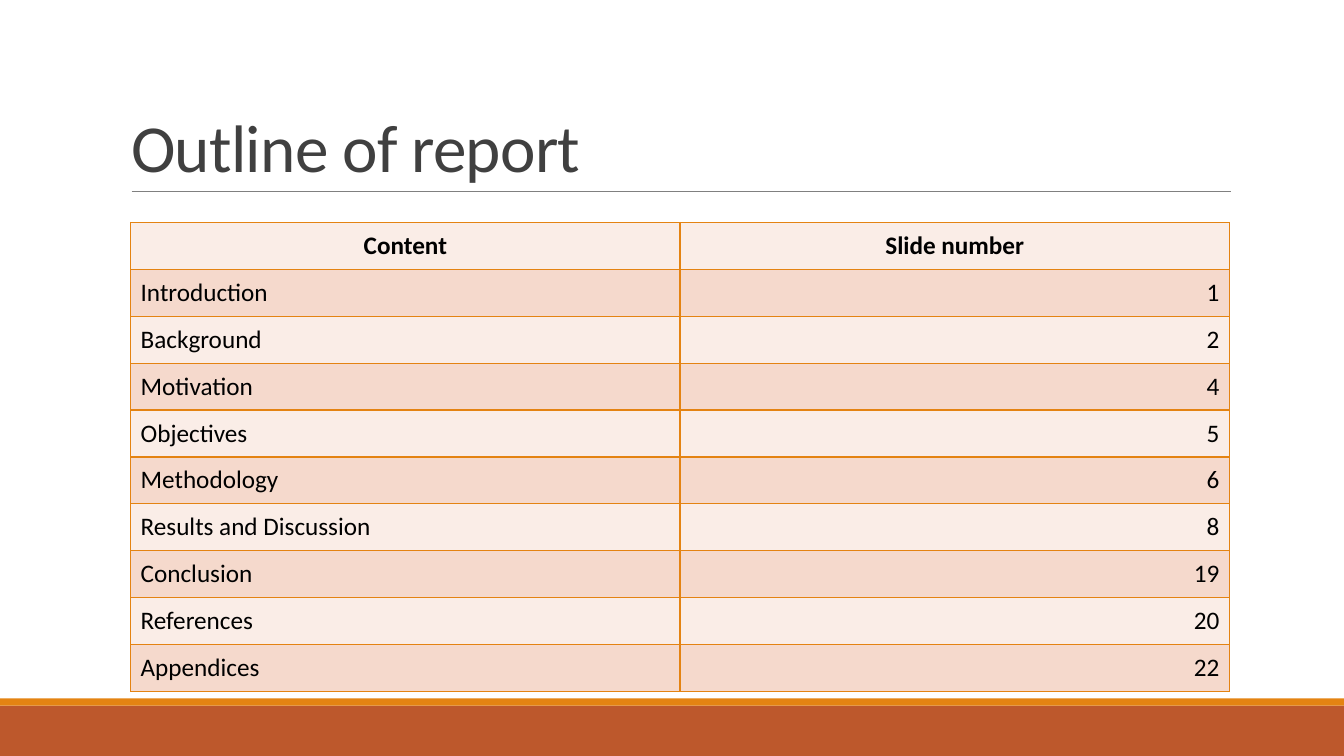
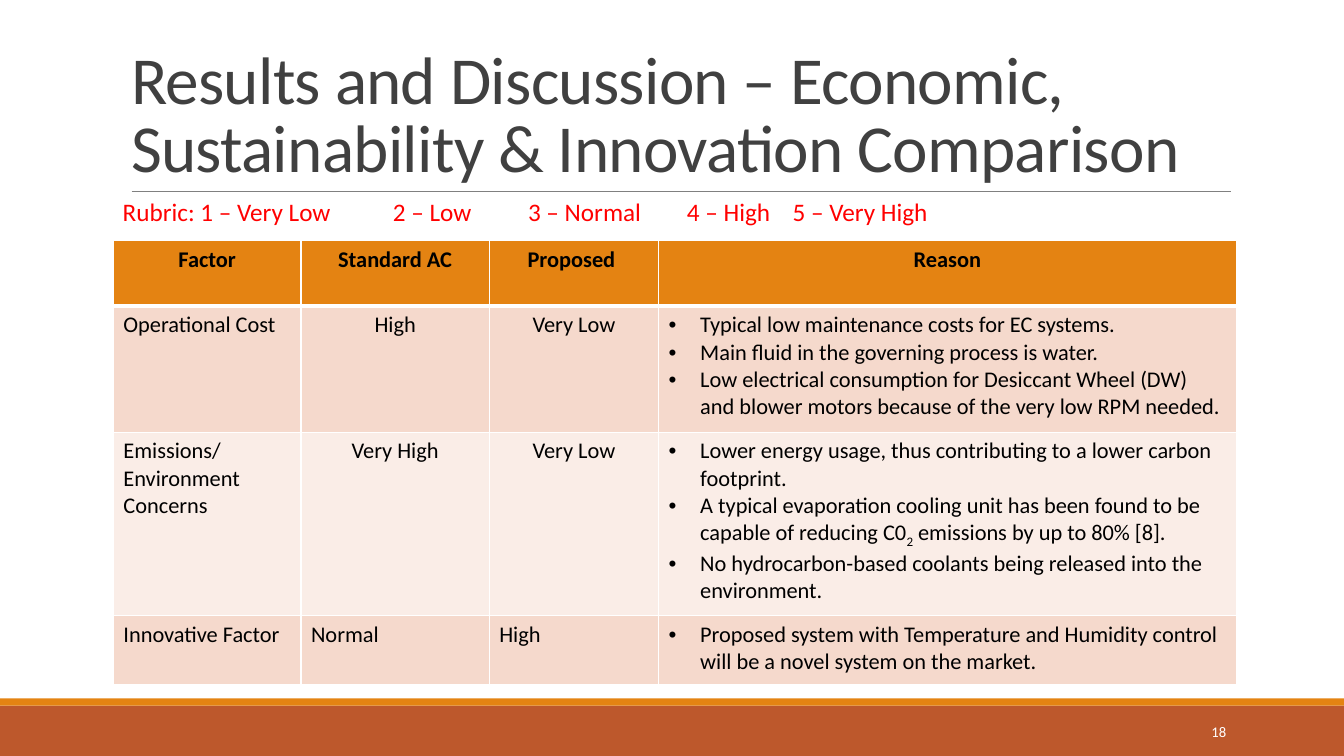
from lxml.etree import SubElement
from pptx import Presentation
from pptx.dml.color import RGBColor
from pptx.enum.shapes import MSO_CONNECTOR, MSO_SHAPE
from pptx.enum.text import MSO_ANCHOR, MSO_AUTO_SIZE, PP_ALIGN
from pptx.oxml.ns import qn
from pptx.util import Pt

FONT = "Calibri"
BAND, ACCENT, RULE = "BD582C", "E48312", "808080"
TITLE_COLOR, BLACK, WHITE, RED = "404040", "000000", "FFFFFF", "FF0000"
STRIPES = ["FAEDE7", "F5D9CC"]
LEFT, CENTER, RIGHT = PP_ALIGN.LEFT, PP_ALIGN.CENTER, PP_ALIGN.RIGHT
BULLET_INDENT = 22.5


def color(hex_string):
    return RGBColor.from_string(hex_string)


def write(paragraph, text, size, text_color, alignment=LEFT, bold=False):
    paragraph.alignment = alignment
    for index, part in enumerate(text.split("_")):
        run = paragraph.add_run()
        run.text = part
        run.font.name = FONT
        run.font.size = Pt(size)
        run.font.bold = bold
        run.font.color.rgb = color(text_color)
        if index % 2:
            run.font._element.set("baseline", "-25000")


presentation = Presentation()
presentation.slide_width = Pt(960)
presentation.slide_height = Pt(540)
layout = presentation.slide_layouts[5]

titles = [
    "Outline of report",
    "Results and Discussion – Economic, Sustainability & Innovation Comparison",
]
slides = []
for title_text in titles:
    slide = presentation.slides.add_slide(layout)
    slides.append(slide)
    title = slide.shapes.title
    title.left, title.top, title.width, title.height = Pt(86.4), Pt(22.6), Pt(792), Pt(114.2)
    frame = title.text_frame
    frame.word_wrap = True
    frame.auto_size = MSO_AUTO_SIZE.NONE
    frame.vertical_anchor = MSO_ANCHOR.BOTTOM
    paragraph = frame.paragraphs[0]
    paragraph.line_spacing = 0.85
    write(paragraph, title_text, 48, TITLE_COLOR)
    for run in paragraph.runs:
        run.font._element.set("spc", "-50")

outline_slide, comparison_slide = slides

for top, height, fill_color in [(504, 36, BAND), (498.8, 5.2, ACCENT)]:
    band = outline_slide.shapes.add_shape(MSO_SHAPE.RECTANGLE, 0, Pt(top), Pt(960), Pt(height))
    band.shadow.inherit = False
    band.fill.solid()
    band.fill.fore_color.rgb = color(fill_color)
    band.line.fill.background()
    layout.shapes.element.append(band.element)

rule = outline_slide.shapes.add_connector(MSO_CONNECTOR.STRAIGHT, Pt(94), Pt(136.8), Pt(879), Pt(136.8))
rule.line.color.rgb = color(RULE)
rule.line.width = Pt(0.5)
SubElement(rule.element.spPr, qn("a:effectLst"))
layout.shapes.element.append(rule.element)

outline_rows = [
    ["Content", "Slide number"],
    ["Introduction", "1"],
    ["Background", "2"],
    ["Motivation", "4"],
    ["Objectives", "5"],
    ["Methodology", "6"],
    ["Results and Discussion", "8"],
    ["Conclusion", "19"],
    ["References", "20"],
    ["Appendices", "22"],
]
comparison_rows = [
    ["Factor", "Standard AC", "Proposed ", "Reason"],
    ["Operational Cost", "High", "Very Low",
     ["Typical low maintenance costs for EC systems.",
      "Main fluid in the governing process is water.",
      "Low electrical consumption for Desiccant Wheel (DW) and blower motors "
      "because of the very low RPM needed."]],
    ["Emissions/ Environment Concerns", "Very High", "Very Low",
     ["Lower energy usage, thus contributing to a lower carbon footprint.",
      "A typical evaporation cooling unit has been found to be capable of reducing "
      "C0_2_ emissions by up to 80% [8].",
      "No hydrocarbon-based coolants being released into the environment."]],
    ["Innovative Factor", "Normal", "High",
     ["Proposed system with Temperature and Humidity control "
      "will be a novel system on the market."]],
]

table_plans = [
    (outline_slide, outline_rows, 93.3, 159, [392.5] * 2, [33.5] * 10,
     18, MSO_ANCHOR.MIDDLE, ACCENT, 1, STRIPES[0], [LEFT, RIGHT]),
    (comparison_slide, comparison_rows, 81, 172, [134, 134.5, 121, 412.5], [46.8, 90, 131, 49],
     16, MSO_ANCHOR.TOP, WHITE, 3, ACCENT, [LEFT, CENTER, CENTER, LEFT]),
]
tables = []
for (slide, rows, left, top, widths, heights, size, anchor,
     border_color, header_border, header_fill, alignments) in table_plans:
    table = slide.shapes.add_table(
        len(rows), len(widths), Pt(left), Pt(top), Pt(sum(widths)), Pt(sum(heights))).table
    tables.append(table)
    for column, width in zip(table.columns, widths):
        column.width = Pt(width)
    for row_index, row_values in enumerate(rows):
        is_header = row_index == 0
        table.rows[row_index].height = Pt(heights[row_index])
        for column_index, value in enumerate(row_values):
            cell = table.cell(row_index, column_index)
            properties = cell._tc.get_or_add_tcPr()
            for side in ["lnL", "lnR", "lnT", "lnB"]:
                heavy = (side == "lnB" and row_index == 0) or (side == "lnT" and row_index == 1)
                border_width = header_border if heavy else 1
                border = SubElement(properties, qn("a:" + side), w=str(Pt(border_width)))
                border_fill = SubElement(border, qn("a:solidFill"))
                SubElement(border_fill, qn("a:srgbClr"), val=border_color)
            cell.fill.solid()
            cell.fill.fore_color.rgb = color(header_fill if is_header else STRIPES[row_index % 2])
            cell.vertical_anchor = anchor
            bulleted = isinstance(value, list)
            for index, text in enumerate(value if bulleted else [value]):
                frame = cell.text_frame
                paragraph = frame.add_paragraph() if index else frame.paragraphs[0]
                if bulleted:
                    paragraph_properties = paragraph._p.get_or_add_pPr()
                    paragraph_properties.set("marL", str(Pt(BULLET_INDENT)))
                    paragraph_properties.set("indent", str(-Pt(BULLET_INDENT)))
                    SubElement(paragraph_properties, qn("a:buFont"), typeface="Arial")
                    SubElement(paragraph_properties, qn("a:buChar"), char="•")
                alignment = CENTER if is_header else alignments[column_index]
                write(paragraph, text, size, BLACK, alignment, is_header)

for cell in tables[1].rows[len(comparison_rows) - 1].cells:
    cell.text_frame.paragraphs[0].alignment = LEFT

rubric = comparison_slide.shapes.add_textbox(Pt(80.6), Pt(136.8), Pt(871), Pt(29))
rubric.text_frame.word_wrap = True
paragraph = rubric.text_frame.paragraphs[0]
tab_list = SubElement(paragraph._p.get_or_add_pPr(), qn("a:tabLst"))
for position in [193, 289.5, 403, 478.5]:
    SubElement(tab_list, qn("a:tab"), pos=str(Pt(position)), algn="l")
write(paragraph, "Rubric: 1 – Very Low\t2 – Low\t3 – Normal\t4 – High\t5 – Very High", 18, RED)

slide_number = comparison_slide.shapes.add_textbox(Pt(780), Pt(508.5), Pt(103), Pt(28.8))
slide_number.text_frame.word_wrap = True
slide_number.text_frame.vertical_anchor = MSO_ANCHOR.MIDDLE
paragraph = slide_number.text_frame.paragraphs[0]
paragraph.space_after = Pt(6)
write(paragraph, "18", 10.5, WHITE, RIGHT)

presentation.save("out.pptx")
